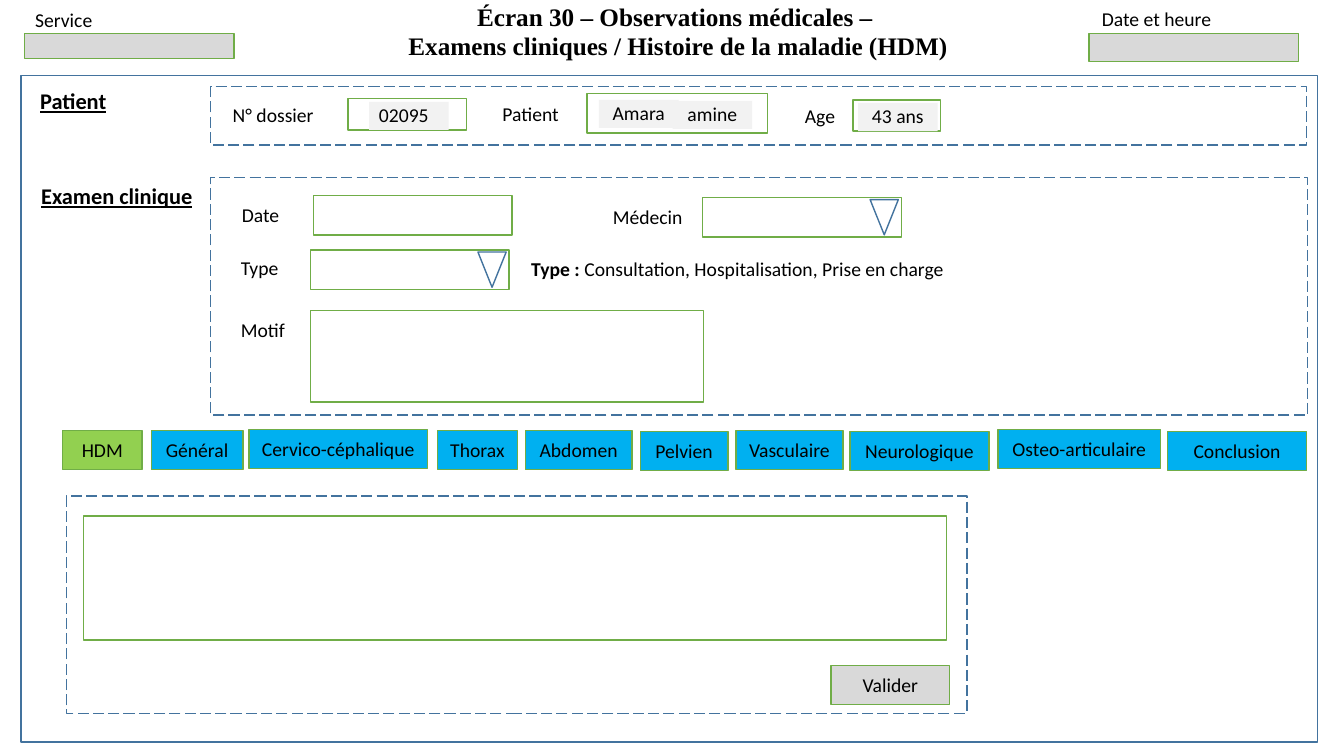
from pptx import Presentation
from pptx.dml.color import RGBColor
from pptx.enum.dml import MSO_LINE
from pptx.enum.shapes import MSO_SHAPE as SHAPE
from pptx.enum.text import MSO_ANCHOR as ANCHOR, MSO_AUTO_SIZE as AUTO, PP_ALIGN as ALIGN
from pptx.util import Inches, Pt

COLORS = {"black": "000000", "blue": "43739E", "green": "70AD47", "grey": "D9D9D9",
          "pale": "F2F2F2", "tab": "00B0F0", "active": "92D050"}
BODY = {"name": "Calibri", "size": Pt(14)}
HEADING = {"name": "Calibri", "size": Pt(16), "bold": True, "underline": True}
TITLE = {"name": "Times New Roman", "size": Pt(18), "bold": True}


def rgb(name):
    return RGBColor.from_string(COLORS[name])


def add_run(p, text, fmt):
    r = p.add_run()
    r.text = text
    for key, value in fmt.items():
        setattr(r.font, key, value)
    r.font.color.rgb = rgb("black")


def write(tf, text, fmt=BODY, align=ALIGN.LEFT, anchor=ANCHOR.MIDDLE, spacing=0.95):
    """Fill a text frame with one paragraph."""
    tf.word_wrap = True
    tf.vertical_anchor = anchor
    p = tf.paragraphs[0]
    p.alignment, p.line_spacing = align, spacing
    add_run(p, text, fmt)
    return p


def add_title(s):
    title = s.shapes.title
    place = {"left": 3.45, "top": 0.07, "width": 6.55, "height": 0.59}
    for key, value in place.items():
        setattr(title, key, Inches(value))
    tf = title.text_frame
    tf.auto_size = AUTO.NONE
    write(tf, "Écran 30 – Observations médicales – ", TITLE, ALIGN.CENTER, ANCHOR.BOTTOM)
    p = tf.add_paragraph()
    p.alignment, p.line_spacing = ALIGN.CENTER, 0.95
    add_run(p, "Examens cliniques / Histoire de la maladie (HDM)", TITLE)


def add_box(s, x, y, w, h, line="green", fill=None, dash=None, kind=SHAPE.RECTANGLE):
    sp = s.shapes.add_shape(kind, Inches(x), Inches(y), Inches(w), Inches(h))
    sp.shadow.inherit = False
    if fill:
        sp.fill.solid()
        sp.fill.fore_color.rgb = rgb(fill)
    else:
        sp.fill.background()
    if line:
        sp.line.color.rgb = rgb(line)
        sp.line.width = Pt(1)
        if dash:
            sp.line.dash_style = dash
    else:
        sp.line.fill.background()
    return sp


def add_frame(s, x, y, w, h):
    add_box(s, x, y, w, h, "blue", dash=MSO_LINE.LONG_DASH)


def add_button(s, text, x, y, w, fill):
    sp = add_box(s, x, y, w, 0.39, fill=fill)
    write(sp.text_frame, text, align=ALIGN.CENTER, spacing=1)


def add_value(s, text, x, y, align=ALIGN.CENTER):
    """Pale chip holding an entered value."""
    sp = add_box(s, x, y, 0.79, 0.28, line=None, fill="pale")
    write(sp.text_frame, text, align=align)


def add_dropdown(s, x, y):
    add_box(s, x, y, 1.97, 0.39)
    arrow = add_box(s, x + 1.66, y + 0.02, 0.28, 0.35, "blue", kind=SHAPE.ISOSCELES_TRIANGLE)
    arrow.rotation = 180


def add_label(s, text, x, y, w, h, **style):
    tb = s.shapes.add_textbox(Inches(x), Inches(y), Inches(w), Inches(h))
    return write(tb.text_frame, text, **style)


def add_header(s):
    add_title(s)
    add_box(s, 0.24, 0.33, 2.08, 0.25, fill="grey")
    add_box(s, 10.8, 0.33, 2.08, 0.28, fill="grey")
    top = {"anchor": ANCHOR.TOP, "spacing": 1}
    add_label(s, "Service", 0.25, 0.03, 1.4, 0.34, **top)
    add_label(s, "Date et heure", 10.83, 0.02, 1.3, 0.34, **top)


def add_patient(s):
    add_frame(s, 2.09, 0.86, 10.87, 0.58)
    add_label(s, "Patient", 0.3, 0.77, 1.18, 0.48, fmt=HEADING)
    for text, x, y, w in [("N° dossier", 2.15, 0.93, 1.12), ("Patient ", 4.76, 0.92, 1.05),
                          ("Age ", 7.85, 0.94, 0.61)]:
        add_label(s, text, x, y, w, 0.43, align=ALIGN.CENTER)
    for place in [(3.45, 0.98, 1.18, 0.31), (5.82, 0.93, 1.79, 0.39), (8.46, 0.99, 0.87, 0.31)]:
        add_box(s, *place)
    add_value(s, "02095", 3.66, 1.01, ALIGN.LEFT)
    for text, x, y in [("Amara", 5.94, 0.99), ("amine", 6.67, 1), ("43 ans", 8.51, 1.02)]:
        add_value(s, text, x, y)


def add_exam(s):
    add_frame(s, 2.09, 1.76, 10.88, 2.36)
    add_label(s, "Examen clinique", 0.31, 1.76, 1.72, 0.37, fmt=HEADING,
              anchor=ANCHOR.TOP, spacing=1)
    add_label(s, "Date", 2.3, 1.93, 0.79, 0.42)
    add_box(s, 3.11, 1.94, 1.97, 0.39)
    add_label(s, "Médecin", 5.86, 1.96, 1.13, 0.4, align=ALIGN.CENTER)
    add_dropdown(s, 6.97, 1.96)
    add_label(s, "Type", 2.29, 2.47, 0.79, 0.39)
    add_dropdown(s, 3.08, 2.48)
    p = add_label(s, "Type : ", 5.17, 2.35, 4.4, 0.65, fmt={**BODY, "bold": True})
    add_run(p, "Consultation, Hospitalisation, Prise en charge", BODY)
    p = add_label(s, "Motif", 2.29, 3.09, 0.79, 0.35, anchor=ANCHOR.TOP, spacing=1.07)
    p.space_after = Pt(8)
    add_box(s, 3.08, 3.08, 3.9, 0.91)


def add_tabs(s):
    add_button(s, "HDM", 0.62, 4.27, 0.79, "active")
    for text, x, y, w in [
            ("Général", 1.5, 4.27, 0.91), ("Cervico-céphalique", 2.47, 4.26, 1.77),
            ("Thorax", 4.34, 4.27, 0.79), ("Abdomen", 5.21, 4.27, 1.06),
            ("Pelvien", 6.35, 4.28, 0.87), ("Vasculaire", 7.3, 4.27, 1.06),
            ("Neurologique", 8.43, 4.28, 1.38), ("Osteo-articulaire", 9.9, 4.26, 1.61),
            ("Conclusion", 11.58, 4.28, 1.38)]:
        add_button(s, text, x, y, w, "tab")


def add_entry(s):
    add_frame(s, 0.66, 4.92, 8.93, 2.16)
    add_box(s, 0.83, 5.12, 8.56, 1.23)
    add_button(s, "Valider", 8.24, 6.6, 1.18, "grey")


def main():
    prs = Presentation()
    prs.slide_width, prs.slide_height = Inches(13.33), Inches(7.5)
    s = prs.slides.add_slide(prs.slide_layouts[5])
    add_header(s)
    add_box(s, 0.21, 0.75, 12.86, 6.61, "blue")
    add_patient(s)
    add_exam(s)
    add_tabs(s)
    add_entry(s)
    prs.save("out.pptx")


if __name__ == "__main__":
    main()
